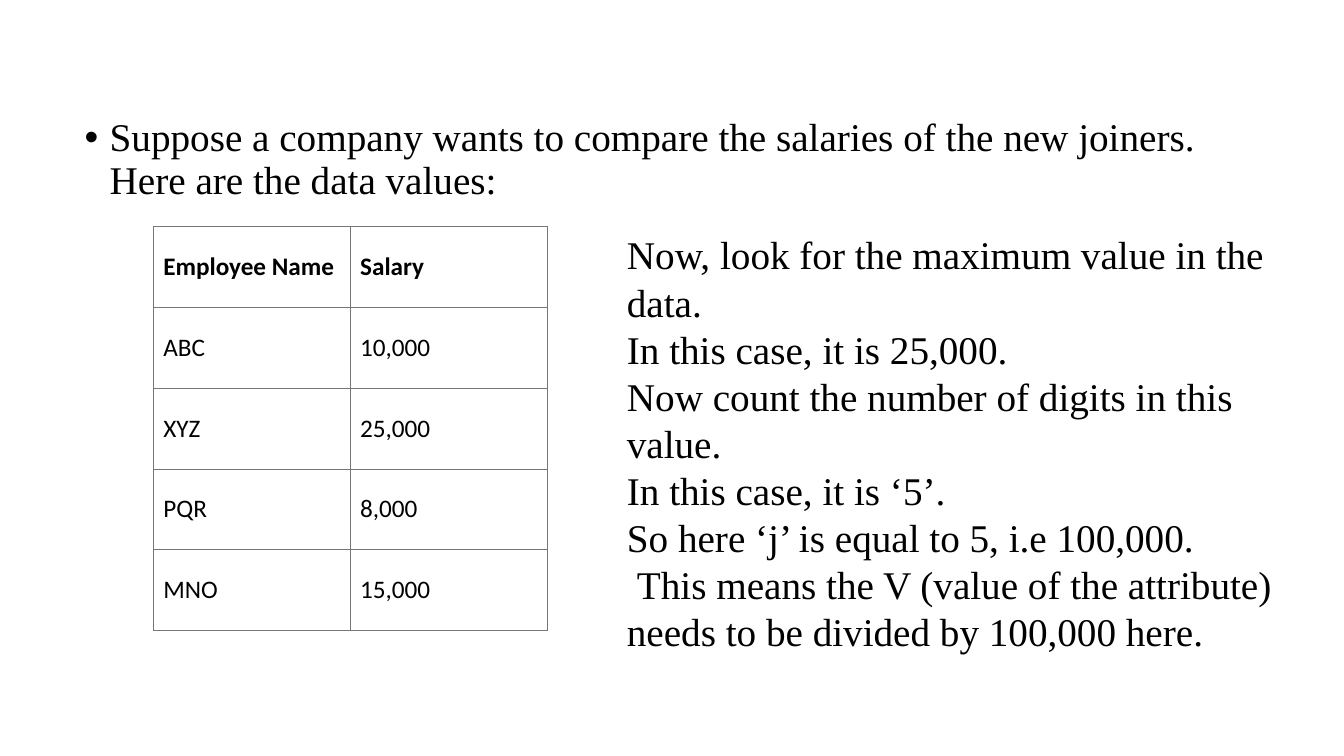
from dataclasses import dataclass

from lxml.etree import SubElement as Sub
from pptx import Presentation
from pptx.dml.color import RGBColor
from pptx.enum.text import MSO_ANCHOR as Anchor, MSO_AUTO_SIZE as Fit
from pptx.oxml import parse_xml
from pptx.oxml.ns import nsdecls, qn
from pptx.util import Inches, Pt

WIDE, HIGH = Inches(13.33), Inches(7.5)
INK, PAPER, RULE = "000000", "FFFFFF", "767676"
SERIF, SANS = "Times New Roman", "Calibri"


@dataclass
class Area:
    """A box in percent of the slide's width and height."""
    left: float
    top: float
    width: float
    height: float

    def box(self) -> tuple[int, int, int, int]:
        return (int(WIDE * self.left / 100), int(HIGH * self.top / 100),
                int(WIDE * self.width / 100), int(HIGH * self.height / 100))


@dataclass
class Line:
    text: str
    bullet: bool = False
    indent: float = 0


def color(code: str) -> RGBColor:
    return RGBColor.from_string(code)


def add_run(para, text: str, face: str, size: float, bold: bool = False) -> None:
    run = para.add_run()
    run.text = text
    font = run.font
    font.name, font.size, font.bold = face, Pt(size), bold
    font.color.rgb = color(INK)


def set_bullet(para) -> None:
    props = para._p.get_or_add_pPr()
    props.set("marL", str(Inches(0.25)))
    props.set("indent", str(Inches(-0.25)))
    Sub(props, qn("a:buFont")).set("typeface", "Arial")
    Sub(props, qn("a:buChar")).set("char", "•")
    para.line_spacing = 0.9


def add_text(slide, area: Area, lines: list[Line], fit: Fit) -> None:
    frame = slide.shapes.add_textbox(*area.box()).text_frame
    frame.word_wrap = True
    frame.auto_size = fit
    for i, line in enumerate(lines):
        para = frame.add_paragraph() if i else frame.paragraphs[0]
        if line.bullet:
            set_bullet(para)
        if line.indent:
            para._p.get_or_add_pPr().set("indent", str(Inches(line.indent)))
        add_run(para, line.text, SERIF, 28)


def set_border(cell) -> None:
    props = cell._tc.get_or_add_tcPr()
    for i, side in enumerate("LRTB"):
        props.insert(i, parse_xml(
            f'<a:ln{side} {nsdecls("a")} w="{Pt(0.75)}"><a:solidFill>'
            f'<a:srgbClr val="{RULE}"/></a:solidFill></a:ln{side}>'))


def add_grid(slide, area: Area, rows: list[tuple[str, ...]]) -> None:
    table = slide.shapes.add_table(len(rows), len(rows[0]), *area.box()).table
    table.horz_banding = False
    for r, row in enumerate(rows):
        for c, text in enumerate(row):
            cell = table.cell(r, c)
            cell.fill.solid()
            cell.fill.fore_color.rgb = color(PAPER)
            cell.vertical_anchor = Anchor.MIDDLE
            set_border(cell)
            add_run(cell.text_frame.paragraphs[0], text, SANS, 18, bold=r == 0)


INTRO = [Line("Suppose a company wants to compare the salaries of the new joiners. "
              "Here are the data values:", bullet=True)]
STAFF = [
    ("Employee Name", "Salary"),
    ("ABC", "10,000"),
    ("XYZ", "25,000"),
    ("PQR", "8,000"),
    ("MNO", "15,000"),
]
STEPS = [
    Line("Now, look for the maximum value in the data."),
    Line("In this case, it is 25,000."),
    Line("Now count the number of digits in this value."),
    Line("In this case, it is ‘5’."),
    Line("So here ‘j’ is equal to 5, i.e 100,000."),
    Line("This means the V (value of the attribute) needs to be divided by "
         "100,000 here.", indent=0.1),
]


def main() -> None:
    deck = Presentation()
    deck.slide_width, deck.slide_height = WIDE, HIGH
    slide = deck.slides.add_slide(deck.slide_layouts[6])
    slide.background.fill.solid()
    slide.background.fill.fore_color.rgb = color(PAPER)

    # Opening statement
    add_text(slide, Area(5.55, 14.93, 86.27, 63.47), INTRO, Fit.NONE)
    # Salary table
    add_grid(slide, Area(11.4, 30, 29.3, 53.4), STAFF)
    # Worked steps
    add_text(slide, Area(45.91, 29.87, 49.96, 57.87), STEPS, Fit.SHAPE_TO_FIT_TEXT)

    deck.save("out.pptx")


if __name__ == "__main__":
    main()
